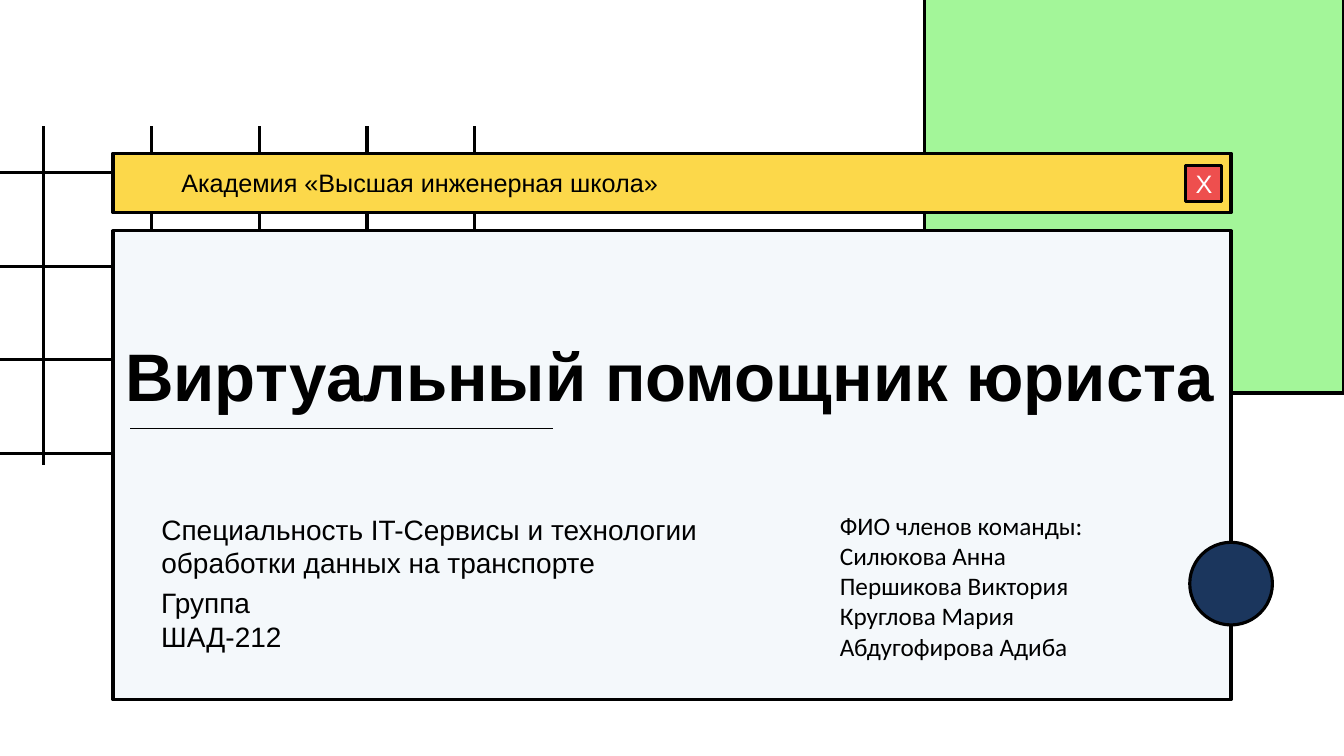
from lxml import etree
from pptx import Presentation
from pptx.dml.color import RGBColor
from pptx.enum.shapes import MSO_CONNECTOR, MSO_SHAPE
from pptx.enum.text import MSO_ANCHOR, MSO_AUTO_SIZE, PP_ALIGN
from pptx.oxml.ns import qn
from pptx.util import Inches, Pt

RECT, OVAL = MSO_SHAPE.RECTANGLE, MSO_SHAPE.OVAL
STRAIGHT = MSO_CONNECTOR.STRAIGHT
TOP, MIDDLE = MSO_ANCHOR.TOP, MSO_ANCHOR.MIDDLE
LEFT, CENTER = PP_ALIGN.LEFT, PP_ALIGN.CENTER
NO_FIT = MSO_AUTO_SIZE.NONE

COLORS = {
    "black": "000000",
    "white": "FFFFFF",
    "green": "A3F699",
    "panel": "F4F8FB",
    "yellow": "FCD84A",
    "red": "EE4F4E",
    "navy": "1B365D",
}


def rgb(name):
    return RGBColor.from_string(COLORS[name])


class SlideBuilder:
    """Holds the style and the current slide and adds elements to it."""

    def __init__(self, slide, font="Arial", line_width=2.25):
        self.slide = slide
        self.font = font
        self.line_width = line_width

    def shape(self, kind, x, y, w, h, fill):
        sp = self.slide.shapes.add_shape(kind, Inches(x), Inches(y), Inches(w), Inches(h))
        sp.shadow.inherit = False
        sp.fill.solid()
        sp.fill.fore_color.rgb = rgb(fill)
        sp.line.color.rgb = rgb("black")
        sp.line.width = Pt(self.line_width)
        return sp

    def line(self, x1, y1, x2, y2, width=None):
        cxn = self.slide.shapes.add_connector(
            STRAIGHT, Inches(x1), Inches(y1), Inches(x2), Inches(y2))
        cxn.line.color.rgb = rgb("black")
        cxn.line.width = Pt(width or self.line_width)
        etree.SubElement(cxn.element.spPr, qn("a:effectLst"))

    def fill_text(self, sp, lines, size, color="black", font=None, bold=False,
                  align=LEFT, anchor=TOP):
        tf = sp.text_frame
        tf.word_wrap = True
        tf.auto_size = NO_FIT
        tf.vertical_anchor = anchor
        for i, text in enumerate(lines):
            p = tf.add_paragraph() if i else tf.paragraphs[0]
            p.alignment = align
            p.space_before = Pt(0)
            pPr = p._p.get_or_add_pPr()
            pPr.set("marL", "0")
            pPr.set("indent", "0")
            etree.SubElement(pPr, qn("a:buNone"))
            r = p.add_run()
            r.text = text
            r.font.name = font or self.font
            r.font.size = Pt(size)
            r.font.bold = bold
            r.font.color.rgb = rgb(color)

    def text(self, x, y, w, h, lines, size, **style):
        box = self.slide.shapes.add_textbox(Inches(x), Inches(y), Inches(w), Inches(h))
        self.fill_text(box, lines, size, **style)

    def placeholder(self, idx, x, y, w, h, lines, size, **style):
        sp = self.slide.placeholders[idx]
        sp.left, sp.top, sp.width, sp.height = Inches(x), Inches(y), Inches(w), Inches(h)
        self.slide.shapes.element.append(sp.element)
        self.fill_text(sp, lines, size, **style)


def main():
    prs = Presentation()
    prs.slide_width, prs.slide_height = Inches(13.33), Inches(7.5)
    s = SlideBuilder(prs.slides.add_slide(prs.slide_layouts[3]))

    s.shape(RECT, 9.17, -0.26, 4.16, 4.16, "green")
    for col in range(5):
        x = 0.43 + 1.07 * col
        s.line(x, 1.25, x, 4.61)
    for row in range(4):
        y = 1.71 + 0.93 * row
        s.line(5.38, y, 0, y)

    s.shape(RECT, 1.12, 2.29, 11.09, 4.65, "panel")
    s.shape(RECT, 1.12, 1.52, 11.09, 0.59, "yellow")
    s.placeholder(0, 1.14, 3.27, 11.09, 0.91, ["Виртуальный помощник юриста"], 48, bold=True)
    s.line(1.29, 4.25, 5.48, 4.25, width=1)
    s.placeholder(1, 1.5, 5.03, 6.2, 0.77,
                  ["Специальность IT-Сервисы и технологии обработки данных на транспорте"], 20)
    s.text(1.5, 5.76, 2.35, 0.77, ["Группа", "ШАД-212"], 20)
    s.text(1.7, 1.61, 4.98, 0.4, ["Академия «Высшая инженерная школа»"], 18)

    close_button = s.shape(RECT, 11.76, 1.64, 0.36, 0.36, "red")
    s.fill_text(close_button, ["Х"], 18, color="white", align=CENTER, anchor=MIDDLE)
    s.shape(OVAL, 11.8, 5.38, 0.82, 0.82, "navy")
    team = ["ФИО членов команды:", "Силюкова Анна", "Першикова Виктория",
            "Круглова Мария", "Абдугофирова Адиба"]
    s.placeholder(2, 8.23, 5.01, 3.55, 1.62, team, 18, font="Calibri")

    prs.save("out.pptx")


if __name__ == "__main__":
    main()
